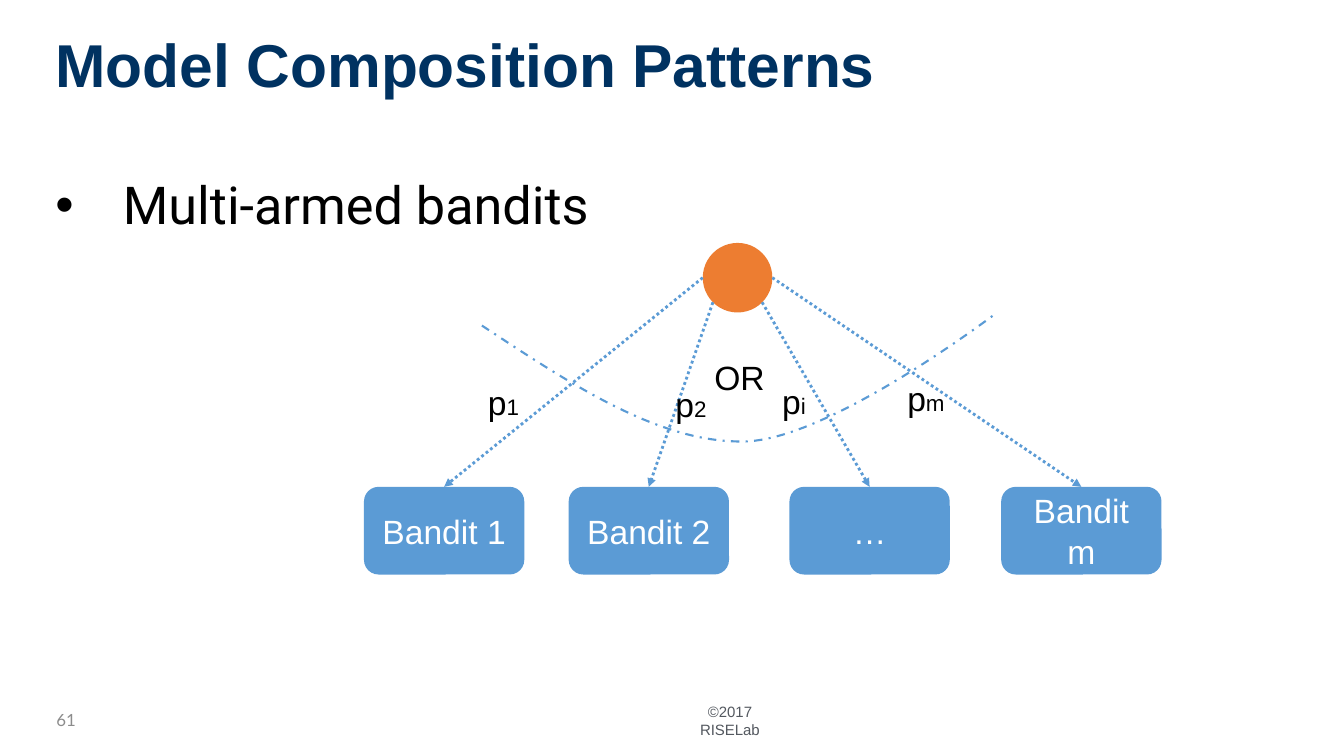
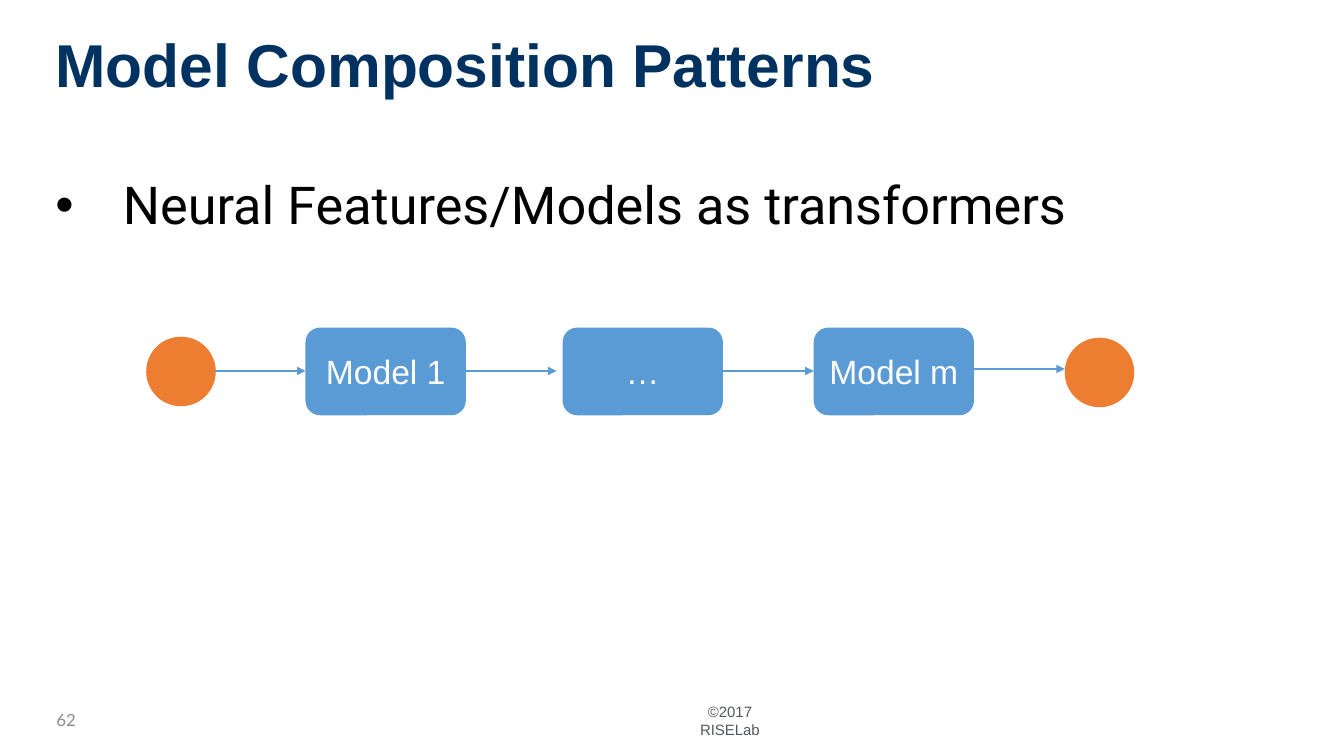
from math import cos, radians, sin

from lxml import etree
from pptx import Presentation
from pptx.dml.color import RGBColor
from pptx.enum.dml import MSO_LINE
from pptx.enum.shapes import MSO_CONNECTOR, MSO_SHAPE
from pptx.enum.text import MSO_ANCHOR, PP_ALIGN
from pptx.oxml.ns import qn
from pptx.util import Inches, Pt

NAVY = RGBColor(0x00, 0x32, 0x61)
BLUE = RGBColor(0x5B, 0x9B, 0xD5)
ORANGE = RGBColor(0xED, 0x7D, 0x31)
BLACK = RGBColor(0, 0, 0)
WHITE = RGBColor(0xFF, 0xFF, 0xFF)
GRAY = RGBColor(0x8C, 0x8C, 0x8C)
SLATE = RGBColor(0x53, 0x58, 0x5F)

TITLE = "Model Composition Patterns"
FOOTER = "©2017 RISELab"

BOX_W, BOX_H, CIRCLE_D = 1.59, 0.87, 0.69

# Bandits: label, left edge, angle in degrees where its arrow leaves the circle
BANDIT_TOP = 4.83
BANDIT_CIRCLE = (6.97, 2.41)
BANDITS = [("Bandit 1", 3.61, 180), ("Bandit 2", 5.64, 135),
           ("…", 7.83, 45), ("Bandit m", 9.93, 0)]
# Probabilities: subscript, left, top, width
PROBABILITIES = [("1", 4.74, 3.74, 0.51), ("2", 6.6, 3.76, 0.51),
                 ("i", 7.66, 3.73, 0.44), ("m", 8.9, 3.7, 0.58)]
# Cubic curves of the "OR" arc: start, two controls, end
OR_ARC = [((4.78, 3.23), (5.66, 3.81), (6.54, 4.4), (7.39, 4.38)),
          ((7.39, 4.38), (8.24, 4.36), (9.89, 3.1), (9.89, 3.1))]

# Pipeline: label, left edge
MODEL_TOP = 3.25
MODELS = [("Model 1", 3.03), ("…", 5.58), ("Model m", 8.07)]
PIPELINE_ENDS = [(1.45, 3.34), (10.56, 3.35)]
# Arrows: start x, y, line width
ARROW_LENGTH = 0.9
PIPELINE_ARROWS = [(2.13, 3.68, 1), (4.62, 3.68, 2),
                   (7.17, 3.68, 2), (9.66, 3.66, 1)]


def style(run, size, color, font="Arial", bold=False):
    run.font.size, run.font.name, run.font.bold = Pt(size), font, bold
    run.font.color.rgb = color


def add_text(slide, text, left, top, width, height, size, color, font="Arial",
             bold=False, align=PP_ALIGN.LEFT, anchor=MSO_ANCHOR.TOP, inset=0.1):
    box = slide.shapes.add_textbox(*map(Inches, (left, top, width, height)))
    tf = box.text_frame
    tf.word_wrap, tf.vertical_anchor = True, anchor
    tf.margin_left = tf.margin_right = Inches(inset)
    tf.margin_top = tf.margin_bottom = Inches(inset)
    p = tf.paragraphs[0]
    p.text, p.alignment = text, align
    style(p.runs[0], size, color, font, bold)
    return p


def add_base(prs, bullet, number):
    """Add a slide with title, one bullet, footer and page number."""
    slide = prs.slides.add_slide(prs.slide_layouts[6])
    add_text(slide, FOOTER, 6.79, 6.95, 0.9, 0.4, 10.7, SLATE,
             align=PP_ALIGN.CENTER, anchor=MSO_ANCHOR.MIDDLE, inset=0.03)
    title = add_text(slide, TITLE, 0.45, 0.25, 12.42, 0.84, 43.2, NAVY, bold=True)
    body = add_text(slide, bullet, 0.45, 1.68, 12.42, 4.98, 37.3, BLACK, "Roboto")
    title.line_spacing = body.line_spacing = 0.9
    pPr = body._p.get_or_add_pPr()
    pPr.set("marL", str(Inches(0.67)))
    pPr.set("indent", str(-Inches(0.67)))
    etree.SubElement(pPr, qn("a:buFont"), typeface="Arial")
    etree.SubElement(pPr, qn("a:buChar"), char="•")
    add_text(slide, str(number), 0.05, 6.86, 0.8, 0.57, 12, GRAY, "Lato",
             align=PP_ALIGN.RIGHT, anchor=MSO_ANCHOR.MIDDLE)
    return slide


def set_label(shape, text, color):
    tf = shape.text_frame
    tf.word_wrap, tf.vertical_anchor = True, MSO_ANCHOR.MIDDLE
    p = tf.paragraphs[0]
    p.text, p.alignment = text, PP_ALIGN.CENTER
    style(p.runs[0], 24, color)


def add_filled(slide, kind, left, top, width, height, color):
    sp = slide.shapes.add_shape(kind, *map(Inches, (left, top, width, height)))
    sp.shadow.inherit = False
    sp.fill.solid()
    sp.fill.fore_color.rgb = color
    sp.line.fill.background()
    return sp


def add_circle(slide, left, top):
    add_filled(slide, MSO_SHAPE.OVAL, left, top, CIRCLE_D, CIRCLE_D, ORANGE)


def add_box(slide, text, left, top):
    box = add_filled(slide, MSO_SHAPE.ROUNDED_RECTANGLE, left, top,
                     BOX_W, BOX_H, BLUE)
    set_label(box, text, WHITE)


def add_arrow(slide, x1, y1, x2, y2, width, dash=None):
    line = slide.shapes.add_connector(MSO_CONNECTOR.STRAIGHT,
                                      *map(Inches, (x1, y1, x2, y2)))
    line.line.color.rgb, line.line.width = BLUE, Pt(width)
    if dash:
        line.line.dash_style = dash
    etree.SubElement(line.line._get_or_add_ln(), qn("a:tailEnd"), type="triangle")
    etree.SubElement(line._element.spPr, qn("a:effectLst"))


def curve_points(curve, steps=30):
    """Return evenly stepped points along a cubic curve, in EMU."""
    points = []
    for i in range(steps + 1):
        t = i / steps
        weights = ((1 - t) ** 3, 3 * t * (1 - t) ** 2, 3 * t * t * (1 - t), t ** 3)
        points.append(tuple(Inches(sum(w * pt[axis] for w, pt in zip(weights, curve)))
                            for axis in (0, 1)))
    return points


def add_or_arc(slide):
    start, *rest = [pt for curve in OR_ARC for pt in curve_points(curve)]
    builder = slide.shapes.build_freeform(*start)
    builder.add_line_segments(rest, close=False)
    arc = builder.convert_to_shape()
    arc.shadow.inherit = False
    arc.fill.background()
    arc.line.color.rgb, arc.line.width = BLUE, Pt(1.5)
    arc.line.dash_style = MSO_LINE.DASH_DOT
    set_label(arc, "OR", BLACK)


def add_probability(slide, subscript, left, top, width):
    box = slide.shapes.add_textbox(*map(Inches, (left, top, width, 0.5)))
    box.text_frame.word_wrap = False
    p = box.text_frame.paragraphs[0]
    for text, size in (("p", 24), (subscript, 16)):
        r = p.add_run()
        r.text = text
        style(r, size, BLACK)


def build_bandits(prs):
    slide = add_base(prs, "Multi-armed bandits", 61)
    add_circle(slide, *BANDIT_CIRCLE)
    radius = CIRCLE_D / 2
    cx, cy = (edge + radius for edge in BANDIT_CIRCLE)
    for label, left, _ in BANDITS:
        add_box(slide, label, left, BANDIT_TOP)
    for _, left, angle in BANDITS:
        a = radians(angle)
        add_arrow(slide, cx + radius * cos(a), cy + radius * sin(a),
                  left + BOX_W / 2, BANDIT_TOP, 2, MSO_LINE.ROUND_DOT)
    add_or_arc(slide)
    for probability in PROBABILITIES:
        add_probability(slide, *probability)


def build_pipeline(prs):
    slide = add_base(prs, "Neural Features/Models as transformers", 62)
    for left, top in PIPELINE_ENDS:
        add_circle(slide, left, top)
    for label, left in MODELS:
        add_box(slide, label, left, MODEL_TOP)
    for x, y, width in PIPELINE_ARROWS:
        add_arrow(slide, x, y, x + ARROW_LENGTH, y, width)


def main():
    prs = Presentation()
    prs.slide_width, prs.slide_height = Inches(13.33), Inches(7.5)
    build_bandits(prs)
    build_pipeline(prs)
    prs.save("out.pptx")


if __name__ == "__main__":
    main()
